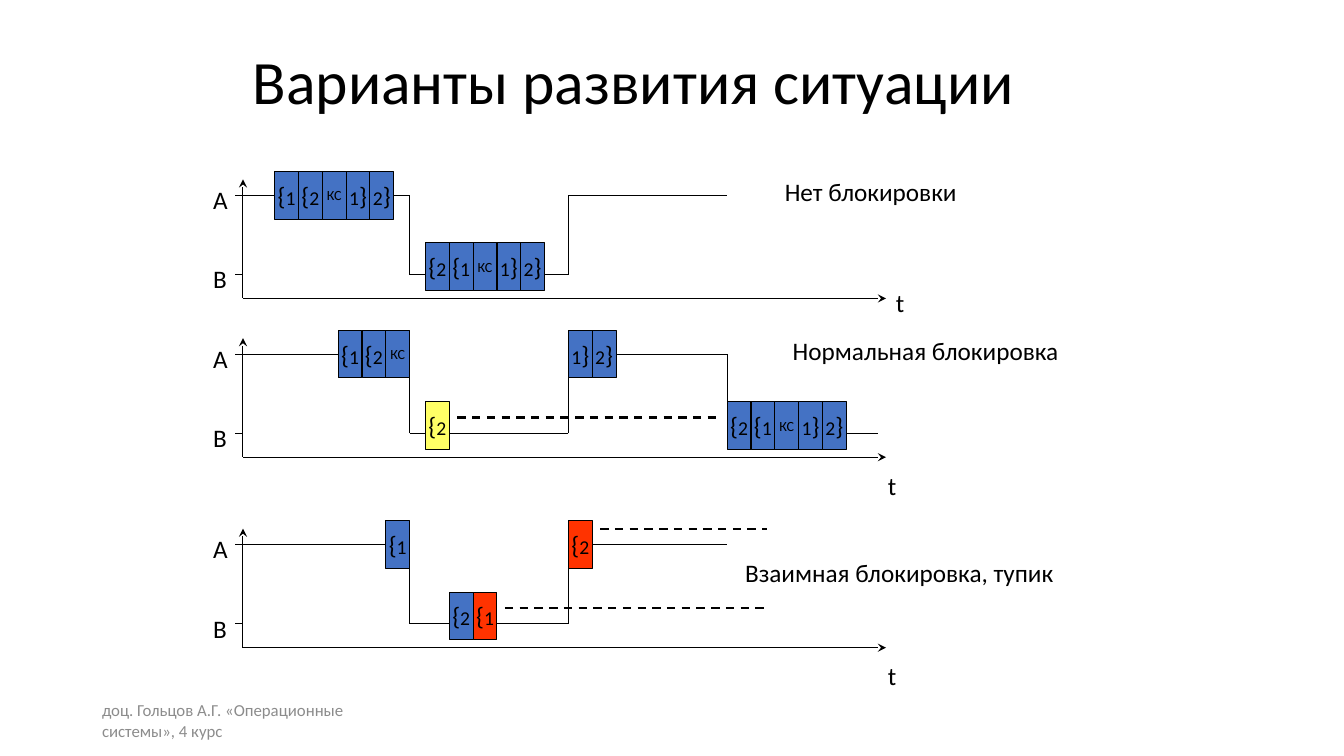
from dataclasses import dataclass

from lxml import etree
from pptx import Presentation
from pptx import util as u
from pptx.dml import color
from pptx.enum import dml, shapes, text
from pptx.oxml import ns


@dataclass(frozen=True)
class Theme:
    font: str = "Calibri"
    ink: str = "000000"
    muted: str = "8C8C8C"
    running: str = "4472C4"
    waiting: str = "FFFF66"
    deadlock: str = "FF3300"
    title: int = 44
    label: int = 18
    digit: int = 14
    note: int = 12
    section: int = 10
    thin: float = 0.75
    thick: float = 1.5


class Page:
    left, top, unit = u.Inches(2.41), u.Inches(1.78), u.Mm(2)
    cell_width, cell_height = 3, 6

    def __init__(self, deck, theme):
        self.theme = theme
        self.shapes = deck.slides.add_slide(deck.slide_layouts[6]).shapes
        self.wires = []
        self.sides = {}

    def point(self, column, row):
        return (round(self.left + column * self.unit),
                round(self.top + row * self.unit))

    def size(self, columns, rows):
        return round(columns * self.unit), round(rows * self.unit)

    def add_span(self, para, words, size, ink=None):
        span = para.add_run()
        span.text = words
        span.font.name = self.theme.font
        span.font.size = u.Pt(size)
        span.font.color.rgb = color.RGBColor.from_string(ink or self.theme.ink)

    def add_label(self, words, column, row, columns, rows=5, size=None, ink=None,
                  wrap=True, middle=False, spacing=None):
        box = self.shapes.add_textbox(*self.point(column, row), *self.size(columns, rows))
        frame = box.text_frame
        frame.word_wrap = wrap
        if middle:
            frame.vertical_anchor = text.MSO_ANCHOR.MIDDLE
        else:
            frame.auto_size = text.MSO_AUTO_SIZE.SHAPE_TO_FIT_TEXT
        para = frame.paragraphs[0]
        if spacing:
            para.line_spacing = spacing
        self.add_span(para, words, size or self.theme.label, ink)

    def add_wire(self, start, end, dashed=False, arrow=None):
        wire = self.shapes.add_connector(
            shapes.MSO_CONNECTOR.STRAIGHT, *self.point(*start), *self.point(*end))
        wire.line.color.rgb = color.RGBColor.from_string(self.theme.ink)
        wire.line.width = u.Pt(self.theme.thick if dashed else self.theme.thin)
        if dashed:
            wire.line.dash_style = dml.MSO_LINE.DASH
        if arrow:
            etree.SubElement(wire.line._get_or_add_ln(), ns.qn("a:" + arrow), type="stealth")
        etree.SubElement(wire._element.spPr, ns.qn("a:effectLst"))
        self.wires.append((wire, start, end))

    def add_cell(self, words, column, row, fill):
        box = self.shapes.add_shape(
            shapes.MSO_SHAPE.RECTANGLE, *self.point(column, row),
            *self.size(self.cell_width, self.cell_height))
        box.shadow.inherit = False
        box.fill.solid()
        box.fill.fore_color.rgb = color.RGBColor.from_string(fill)
        box.line.color.rgb = color.RGBColor.from_string(self.theme.ink)
        box.line.width = u.Pt(self.theme.thin)
        frame = box.text_frame
        frame.word_wrap = False
        frame.vertical_anchor = text.MSO_ANCHOR.MIDDLE
        para = frame.paragraphs[0]
        para.alignment = text.PP_ALIGN.CENTER
        if words == "КС":
            self.add_span(para, words, self.theme.section)
        else:
            for mark in words:
                self.add_span(para, mark, self.theme.digit if mark.isdigit() else self.theme.label)
        middle = row + self.cell_height / 2
        self.sides[column, middle] = box, 1
        self.sides[column + self.cell_width, middle] = box, 3

    def add_cells(self, words, column, row, fill):
        for index, word in enumerate(words.split()):
            self.add_cell(word, column + index * self.cell_width, row, fill)

    def join_wires(self):
        for wire, start, end in self.wires:
            if start in self.sides:
                wire.begin_connect(*self.sides[start])
            if end in self.sides:
                wire.end_connect(*self.sides[end])

    def add_timeline(self, row, caption, caption_at, time_at, cells, waits=(), tail=()):
        level_a, level_b, axis = row + 2, row + 12, row + 15
        self.add_wire((0, row), (0, axis), arrow="headEnd")
        self.add_wire((0, axis), (81, axis), arrow="tailEnd")
        route = [(-1, level_a), (21, level_a), (21, level_b),
                 (41, level_b), (41, level_a), (61, level_a)]
        route += [(column, row + offset) for column, offset in tail]
        for start, end in zip(route, route[1:]):
            self.add_wire(start, end)
        self.add_wire((0, level_b), (-1, level_b))
        self.add_label("A", -5, row, 4.5, wrap=False)
        self.add_label("B", -5, row + 10, 4.3, wrap=False)
        self.add_label("t", time_at[0], row + time_at[1], 10)
        self.add_label(caption, caption_at[0], row + caption_at[1], 46)
        for lane, column, words, fill in cells:
            self.add_cells(words, column, row + {"A": -1, "B": 8}[lane], fill)
        for start, end, offset in waits:
            self.add_wire((start, row + offset), (end, row + offset), dashed=True)


def main():
    theme = Theme()
    deck = Presentation()
    deck.slide_width, deck.slide_height = u.Inches(13.33), u.Inches(7.5)
    page = Page(deck, theme)
    page.add_label("доц. Гольцов А.Г. «Операционные системы», 4 курс",
                   -19, 65.65, 38.1, size=theme.note, ink=theme.muted, middle=True)
    page.add_label("Варианты развития ситуации", 0, -19, 114.3, 14,
                   size=theme.title, middle=True, spacing=0.9)
    first, second = "{1 {2 КС 1} 2}", "{2 {1 КС 1} 2}"
    page.add_timeline(
        0, "Нет блокировки", (67, -1), (81, 13),
        [("A", 4, first, theme.running), ("B", 23, second, theme.running)])
    page.add_timeline(
        20, "Нормальная блокировка", (68, -1), (80, 16),
        [("A", 12, "{1 {2 КС", theme.running), ("A", 41, "1} 2}", theme.running),
         ("B", 23, "{2", theme.waiting), ("B", 61, second, theme.running)],
        waits=[(27, 60, 10)], tail=[(61, 12), (80, 12)])
    page.add_timeline(
        44, "Взаимная блокировка, тупик", (62, 3), (80, 16),
        [("A", 18, "{1", theme.running), ("B", 26, "{2", theme.running),
         ("B", 29, "{1", theme.deadlock), ("A", 41, "{2", theme.deadlock)],
        waits=[(33, 66, 10), (45, 66, 0)])
    page.join_wires()
    deck.save("out.pptx")


if __name__ == "__main__":
    main()
